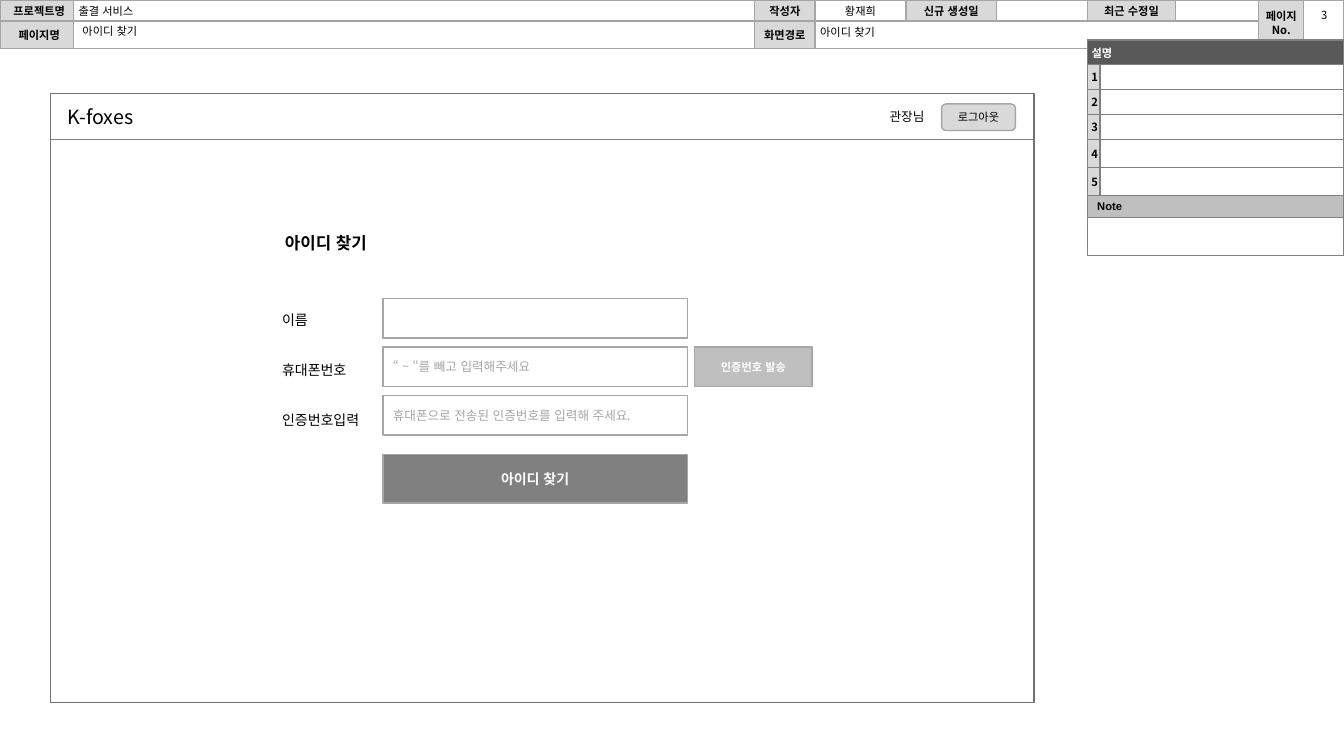
from pptx import Presentation
from pptx.dml.color import RGBColor
from pptx.enum import lang, shapes, text
from pptx.oxml import parse_xml
from pptx.oxml.ns import nsdecls
from pptx.util import Cm, Pt

FONT = "Noto Sans CJK KR"
BLACK = RGBColor(0x00, 0x00, 0x00)
WHITE = RGBColor(0xFF, 0xFF, 0xFF)
PALE = RGBColor(0xD9, 0xD9, 0xD9)
SILVER = RGBColor(0xBF, 0xBF, 0xBF)
EDGE = RGBColor(0xA6, 0xA6, 0xA6)
RULE = RGBColor(0xA5, 0xA5, 0xA5)
GRAY = RGBColor(0x80, 0x80, 0x80)
FRAME = RGBColor(0x76, 0x71, 0x71)
DARK = RGBColor(0x59, 0x59, 0x59)
LEFT, MID = text.PP_ALIGN.LEFT, text.PP_ALIGN.CENTER
RECT, ROUND = shapes.MSO_SHAPE.RECTANGLE, shapes.MSO_SHAPE.ROUNDED_RECTANGLE

TITLE = "아이디 찾기"
HEAD = [
    ["프로젝트명", "출결 서비스", "작성자", "황재희", "신규 생성일", "", "최근 수정일", "",
     "페이지 No.", ""],
    ["페이지명", "", "화면경로", "", "", "", "", "", "", ""],
]
HEAD_COLS = [1.85, 17.17, 1.52, 2.29, 2.29, 2.29, 2.21, 2.1, 1.14, 1]
HEAD_ROWS = [0.53, 0.69]
HEAD_SPANS = [(0, 8, 1, 8), (0, 9, 1, 9), (1, 3, 1, 7)]

GUIDE = [["설명", ""]] + [[str(n), ""] for n in range(1, 6)] + [["Note", ""], ["", ""]]
GUIDE_COLS = [0.32, 6.14]
GUIDE_ROWS = [0.61, 0.63, 0.63, 0.64, 0.7, 0.7, 0.56, 0.96]
GUIDE_SPANS = [(0, 0, 0, 1), (6, 0, 6, 1), (7, 0, 7, 1)]

LABELS = ["이름", "휴대폰번호", "인증번호입력"]
HINTS = ["", "“ – “를 빼고 입력해주세요", "휴대폰으로 전송된 인증번호를 입력해 주세요."]
FIELD_X, FIELD_Y, FIELD_W, FIELD_H, STEP = 9.65, 7.52, 7.67, 1, 1.22

NOTES = [
    (TITLE, (1.98, 0.52, 16.87, 0.53), 8, LEFT, 0.1, 0.1),
    ("3", (32.89, 0.03, 0.97, 0.74), 8, MID, 0, 0.4),
    (TITLE, (20.57, 0.54, 10.97, 0.53), 8, LEFT, 0.1, 0.1),
    ("K-foxes", (1.45, 2.51, 2.6, 0.86), 14, LEFT, 0.25, 0.13),
    ("관장님", (22.17, 2.62, 1.47, 0.64), 9, LEFT, 0.25, 0.13),
]
BUTTONS = [
    ("로그아웃", ROUND, (23.73, 2.62, 1.86, 0.67), PALE, 8, BLACK, False),
    (TITLE, RECT, (FIELD_X, 11.46, FIELD_W, 1.22), GRAY, 10, WHITE, True),
    ("인증번호 발송", RECT, (17.51, FIELD_Y + STEP, 2.96, FIELD_H), SILVER, 8, WHITE, True),
]


def style(par, size, color=BLACK, bold=False, align=LEFT, face=FONT):
    font = par.font
    font.size, font.bold, font.name = Pt(size), bold, face
    font.color.rgb = color
    font._element.append(parse_xml(f'<a:ea {nsdecls("a")} typeface="{face}"/>'))
    par.alignment = align
    for run in par.runs:
        run.font.language_id = lang.MSO_LANGUAGE_ID.KOREAN


def pad(box, x, y):
    box.margin_left = box.margin_right = Cm(x)
    box.margin_top = box.margin_bottom = Cm(y)


def border(cell, color):
    props = cell._tc.get_or_add_tcPr()
    for n, side in enumerate(("lnL", "lnR", "lnT", "lnB")):
        props.insert(n, parse_xml(
            f'<a:{side} {nsdecls("a")} w="12700"><a:solidFill>'
            f'<a:srgbClr val="{color}"/></a:solidFill></a:{side}>'))


def grid(slide, x, y, rows, cols, highs, spans, edge, look):
    area = [Cm(v) for v in (x, y, sum(cols), sum(highs))]
    table = slide.shapes.add_table(len(rows), len(cols), *area).table
    table.first_row = table.horz_banding = False
    for col, wide in zip(table.columns, cols):
        col.width = Cm(wide)
    for row, high in zip(table.rows, highs):
        row.height = Cm(high)
    for r, row in enumerate(rows):
        for c, word in enumerate(row):
            cell = table.cell(r, c)
            fill, color, bold, align, left, face = look(r, c)
            cell.text = word
            cell.vertical_anchor = text.MSO_ANCHOR.MIDDLE
            pad(cell, 0, 0)
            cell.margin_left = Cm(left)
            style(cell.text_frame.paragraphs[0], 8, color, bold, align, face)
            cell.fill.solid()
            cell.fill.fore_color.rgb = fill
            border(cell, edge)
    for r, c, end_r, end_c in spans:
        table.cell(r, c).merge(table.cell(end_r, end_c))
    return table


def head_look(r, c):
    label = c % 2 == 0
    fill = PALE if label and (r == 0 or c < 3) else WHITE
    return fill, BLACK, label, LEFT if c == 1 else MID, 0.13 if c < 2 else 0, FONT


def guide_look(r, c):
    if r == 0:
        return DARK, WHITE, True, LEFT, 0.11, FONT
    if r == 6:
        return SILVER, BLACK, True, LEFT, 0.25, "Arial"
    return (PALE if c == 0 and r < 6 else WHITE), BLACK, True, MID, 0.05, FONT


def note(slide, words, area, size, align, x, y):
    frame = slide.shapes.add_textbox(*[Cm(v) for v in area]).text_frame
    frame.word_wrap = align == MID
    pad(frame, x, y)
    frame.text = words
    for par in frame.paragraphs:
        style(par, size, align=align)
    return frame


def block(slide, kind, area, fill, line):
    shape = slide.shapes.add_shape(kind, *[Cm(v) for v in area])
    shape.shadow.inherit = False
    if fill is None:
        shape.fill.background()
    else:
        shape.fill.solid()
        shape.fill.fore_color.rgb = fill
    shape.line.color.rgb = line
    shape.line.width = Pt(1)
    return shape


def caption(shape, words, size, color, bold, align, x):
    frame = shape.text_frame
    frame.vertical_anchor = text.MSO_ANCHOR.MIDDLE
    pad(frame, x, 0.1)
    frame.text = words
    style(frame.paragraphs[0], size, color, bold, align)


def main():
    deck = Presentation()
    deck.slide_width, deck.slide_height = Cm(33.87), Cm(19.05)
    slide = deck.slides.add_slide(deck.slide_layouts[5])

    head = grid(slide, 0, 0, HEAD, HEAD_COLS, HEAD_ROWS, HEAD_SPANS, RULE, head_look)
    head.cell(0, 8).text_frame.paragraphs[0].line_spacing = Pt(9.7)
    block(slide, RECT, (1.27, 2.36, 24.79, 15.34), None, FRAME)
    rule = slide.shapes.add_connector(
        shapes.MSO_CONNECTOR.STRAIGHT, Cm(1.27), Cm(3.52), Cm(26.06), Cm(3.52))
    rule.line.color.rgb = GRAY
    rule.line.width = Pt(0.5)
    rule._element.spPr.append(parse_xml(f'<a:effectLst {nsdecls("a")}/>'))

    for item in NOTES:
        note(slide, *item)

    title = slide.shapes.title
    title.left, title.top, title.width, title.height = Cm(6.93), Cm(5.74), Cm(2.79), Cm(0.76)
    caption(title, TITLE, 12, BLACK, True, LEFT, 0.25)
    title.text_frame.word_wrap = False

    labels = note(slide, "\n".join(LABELS), (6.86, 7.5, 2.64, 3.38), 10, LEFT, 0.25, 0.13)
    for n, par in enumerate(labels.paragraphs):
        par.line_spacing = Pt(18)
        par.space_before = Pt(18 if n else 0)

    for n, hint in enumerate(HINTS):
        field = block(slide, RECT, (FIELD_X, FIELD_Y + n * STEP, FIELD_W, FIELD_H), WHITE, EDGE)
        if hint:
            caption(field, hint, 9, EDGE, False, LEFT, 0.25)
    for words, kind, area, fill, size, color, bold in BUTTONS:
        caption(block(slide, kind, area, fill, EDGE), words, size, color, bold, MID, 0.1)

    grid(slide, 27.4, 1.01, GUIDE, GUIDE_COLS, GUIDE_ROWS, GUIDE_SPANS, GRAY, guide_look)
    deck.save("out.pptx")


if __name__ == "__main__":
    main()
